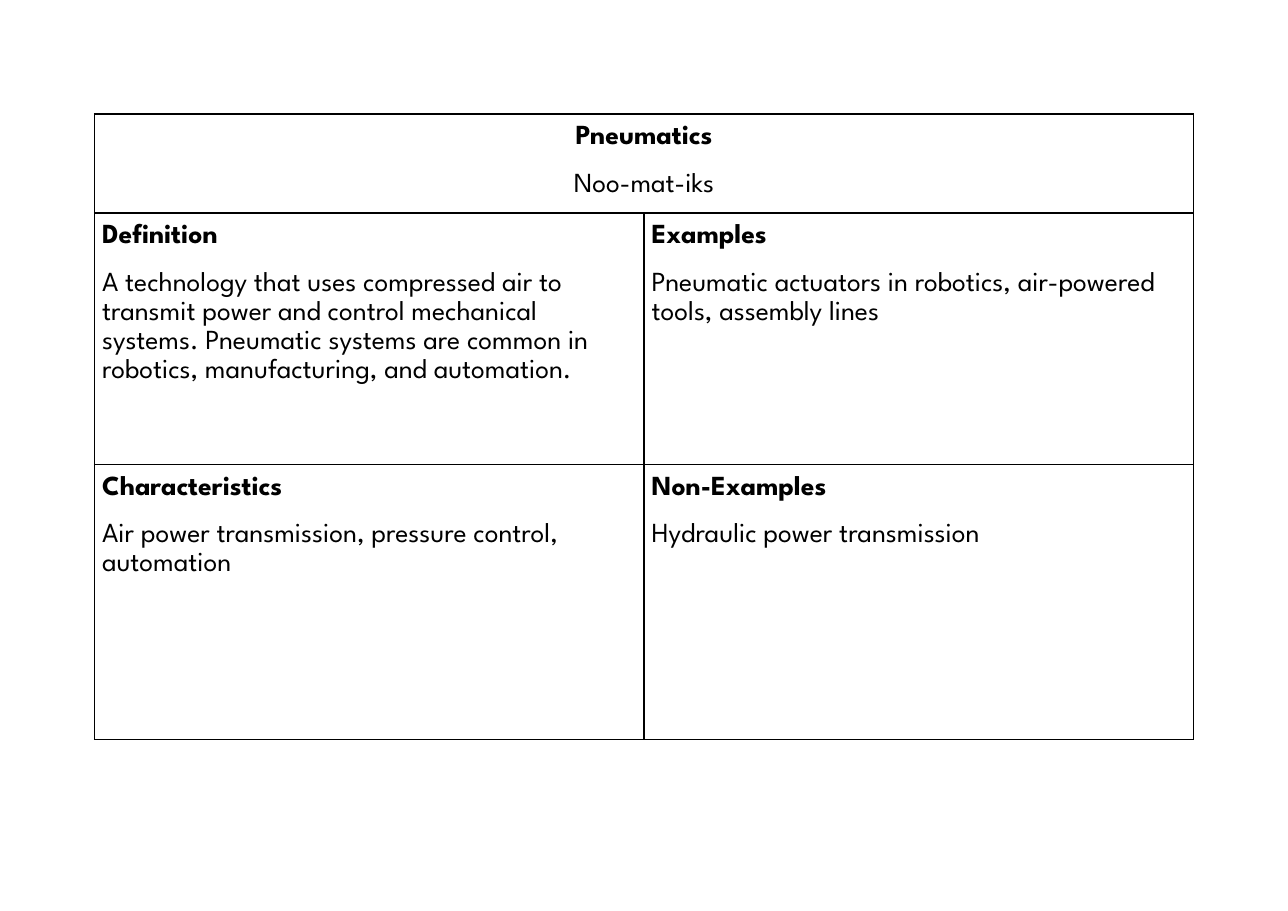
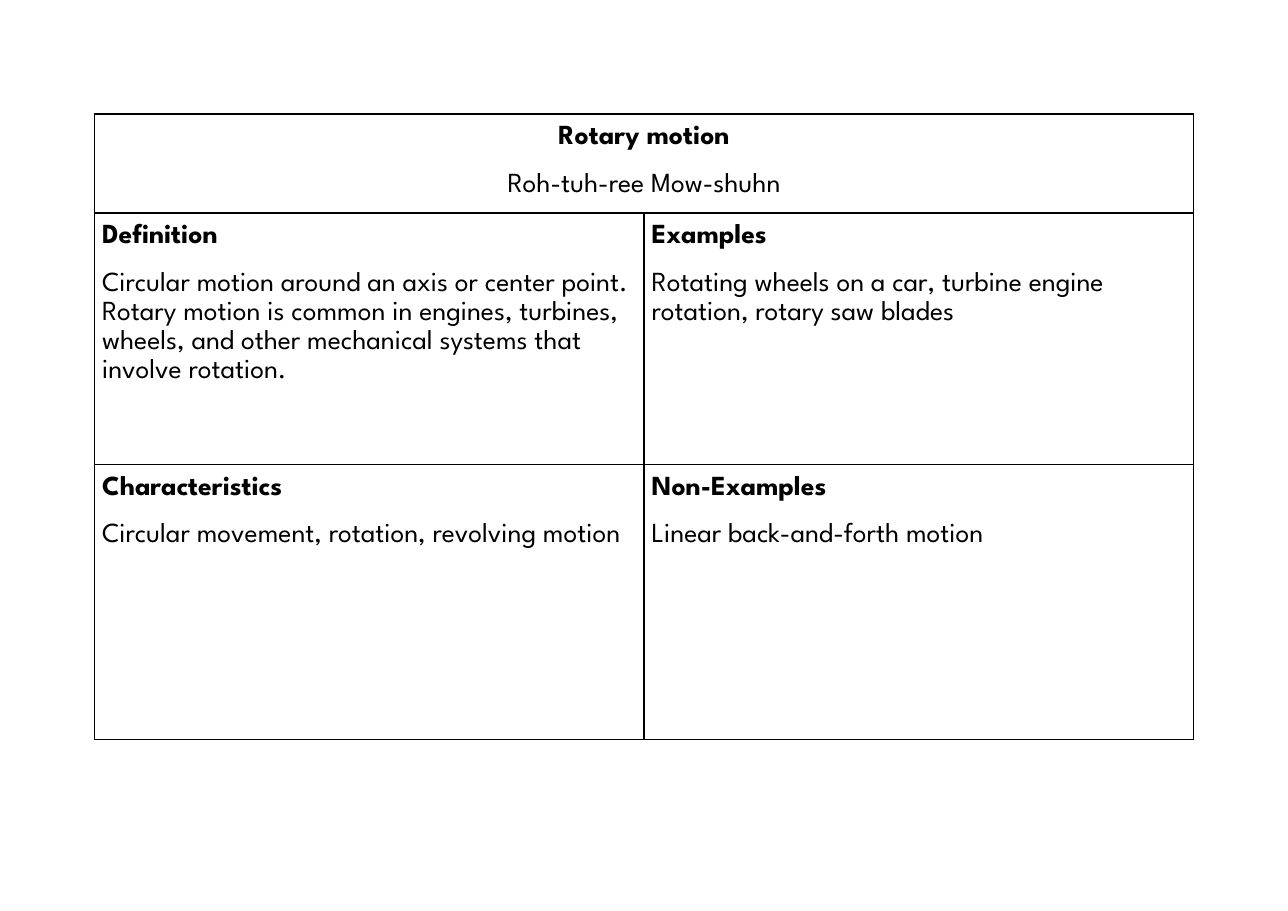
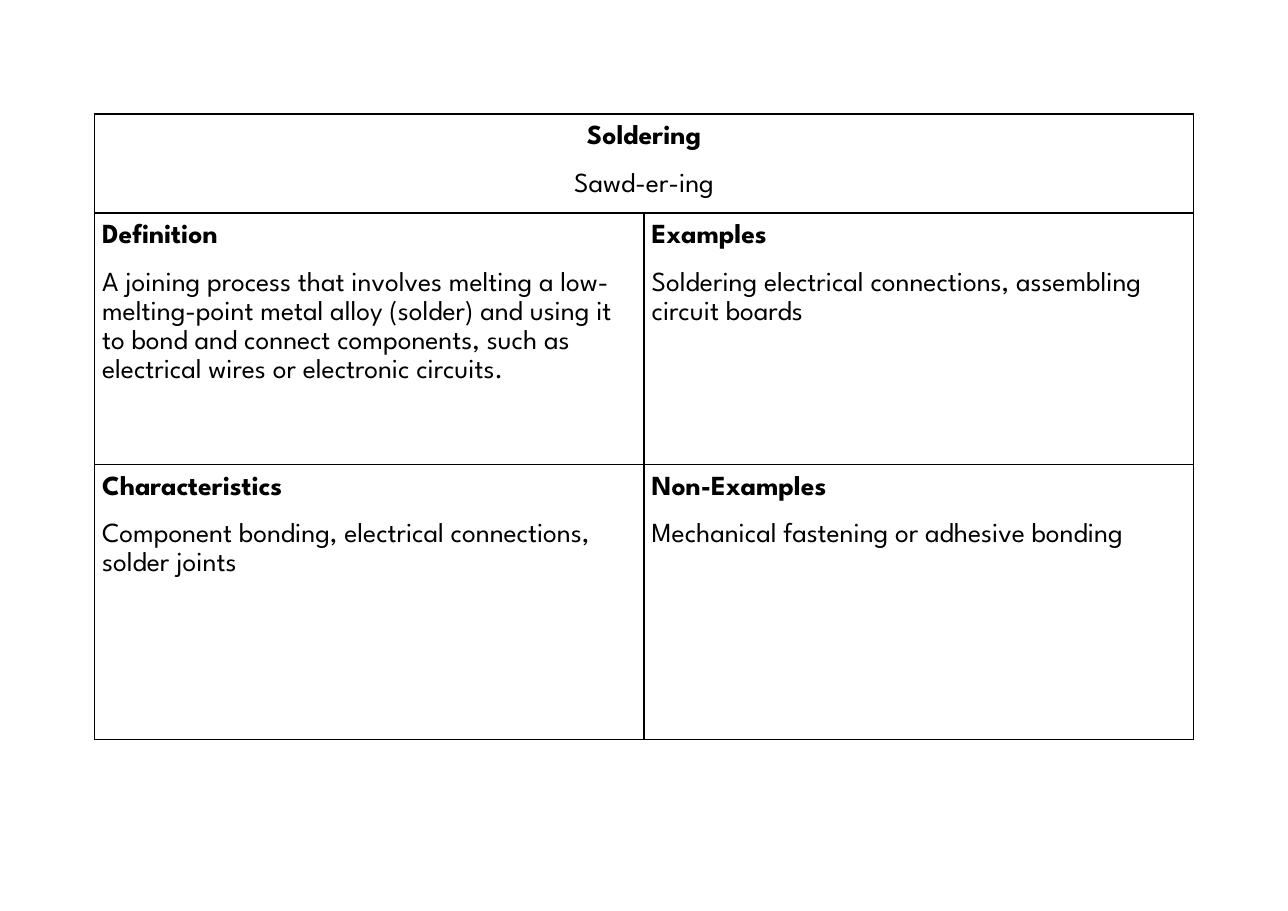
from lxml import etree
from pptx import Presentation
from pptx.dml.color import RGBColor
from pptx.enum.text import PP_ALIGN
from pptx.oxml.ns import qn
from pptx.util import Pt

LEFT, CENTER = PP_ALIGN.LEFT, PP_ALIGN.CENTER

BLACK = RGBColor(0x00, 0x00, 0x00)
FONT = "League Spartan"
FONT_SIZE = Pt(18)
LINE_SPACING = 1.15
PARAGRAPH_GAP = Pt(12)
CELL_MARGIN = Pt(5)
BORDER_WIDTH = Pt(1)

SLIDE_WIDTH, SLIDE_HEIGHT = Pt(841.68), Pt(595.44)
TABLE_LEFT, TABLE_TOP = Pt(61.7), Pt(74.6)
COLUMN_WIDTHS = [Pt(359.2)] * 2
ROW_HEIGHTS = [Pt(64.7), Pt(164.2), Pt(179.8)]

# Heading of each quadrant, with its row and column
QUADRANTS = [
    ("Definition", 1, 0),
    ("Examples", 1, 1),
    ("Characteristics", 2, 0),
    ("Non-Examples", 2, 1),
]

# Term, pronunciation, then one text per quadrant
CARDS = [
    ("Pneumatics", "Noo-mat-iks", [
        "A technology that uses compressed air to transmit power and control "
        "mechanical systems. Pneumatic systems are common in robotics, "
        "manufacturing, and automation.",
        "Pneumatic actuators in robotics, air-powered tools, assembly lines",
        "Air power transmission, pressure control, automation",
        "Hydraulic power transmission",
    ]),
    ("Rotary motion", "Roh-tuh-ree Mow-shuhn", [
        "Circular motion around an axis or center point. Rotary motion is "
        "common in engines, turbines, wheels, and other mechanical systems "
        "that involve rotation.",
        "Rotating wheels on a car, turbine engine rotation, rotary saw blades",
        "Circular movement, rotation, revolving motion",
        "Linear back-and-forth motion",
    ]),
    ("Soldering", "Sawd-er-ing", [
        "A joining process that involves melting a low-melting-point metal "
        "alloy (solder) and using it to bond and connect components, such as "
        "electrical wires or electronic circuits.",
        "Soldering electrical connections, assembling circuit boards",
        "Component bonding, electrical connections, solder joints",
        "Mechanical fastening or adhesive bonding",
    ]),
]


def style_cell(cell):
    """Give the cell its margins, four black borders and no fill."""
    cell.margin_left = cell.margin_right = CELL_MARGIN
    cell.margin_top = cell.margin_bottom = CELL_MARGIN
    properties = cell._tc.get_or_add_tcPr()
    for side in ("a:lnL", "a:lnR", "a:lnT", "a:lnB"):
        line = etree.SubElement(properties, qn(side), w=str(BORDER_WIDTH))
        fill = etree.SubElement(line, qn("a:solidFill"))
        etree.SubElement(fill, qn("a:srgbClr"), val=str(BLACK))
    cell.fill.background()


def write_paragraph(para, text, bold, align):
    para.alignment = align
    para.line_spacing = LINE_SPACING
    span = para.add_run()
    span.text = text
    span.font.name = FONT
    span.font.size = FONT_SIZE
    span.font.bold = bold
    span.font.color.rgb = BLACK


def write_cell(cell, heading, body, align=LEFT):
    frame = cell.text_frame
    write_paragraph(frame.paragraphs[0], heading, True, align)
    para = frame.add_paragraph()
    para.space_before = PARAGRAPH_GAP
    write_paragraph(para, body, False, align)


def add_grid(page):
    """Add the empty bordered table, its top row merged into one cell."""
    table = page.shapes.add_table(
        len(ROW_HEIGHTS), len(COLUMN_WIDTHS), TABLE_LEFT, TABLE_TOP,
        sum(COLUMN_WIDTHS), sum(ROW_HEIGHTS)).table
    table.first_row = table.horz_banding = False
    for column, width in zip(table.columns, COLUMN_WIDTHS):
        column.width = width
    for row, height in zip(table.rows, ROW_HEIGHTS):
        row.height = height
    for cell in table.iter_cells():
        style_cell(cell)
    table.cell(0, 0).merge(table.cell(0, 1))
    return table


def add_card(deck, term, pronunciation, texts):
    page = deck.slides.add_slide(deck.slide_layouts[6])
    table = add_grid(page)
    title = table.cell(0, 0)
    write_cell(title, term, pronunciation, CENTER)
    title.text_frame.paragraphs[-1].space_after = PARAGRAPH_GAP
    for (heading, row, column), text in zip(QUADRANTS, texts):
        write_cell(table.cell(row, column), heading, text)


def main():
    deck = Presentation()
    deck.slide_width, deck.slide_height = SLIDE_WIDTH, SLIDE_HEIGHT
    for card in CARDS:
        add_card(deck, *card)
    deck.save("out.pptx")


if __name__ == "__main__":
    main()
